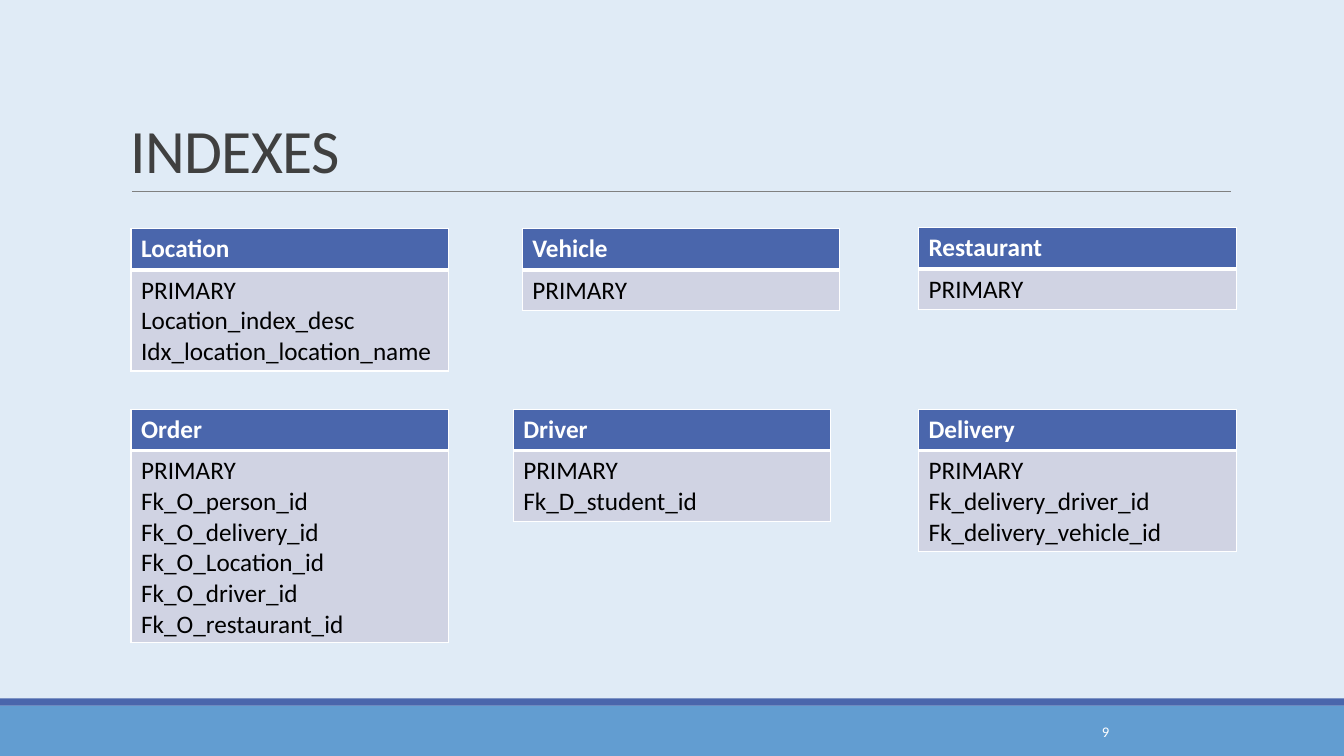
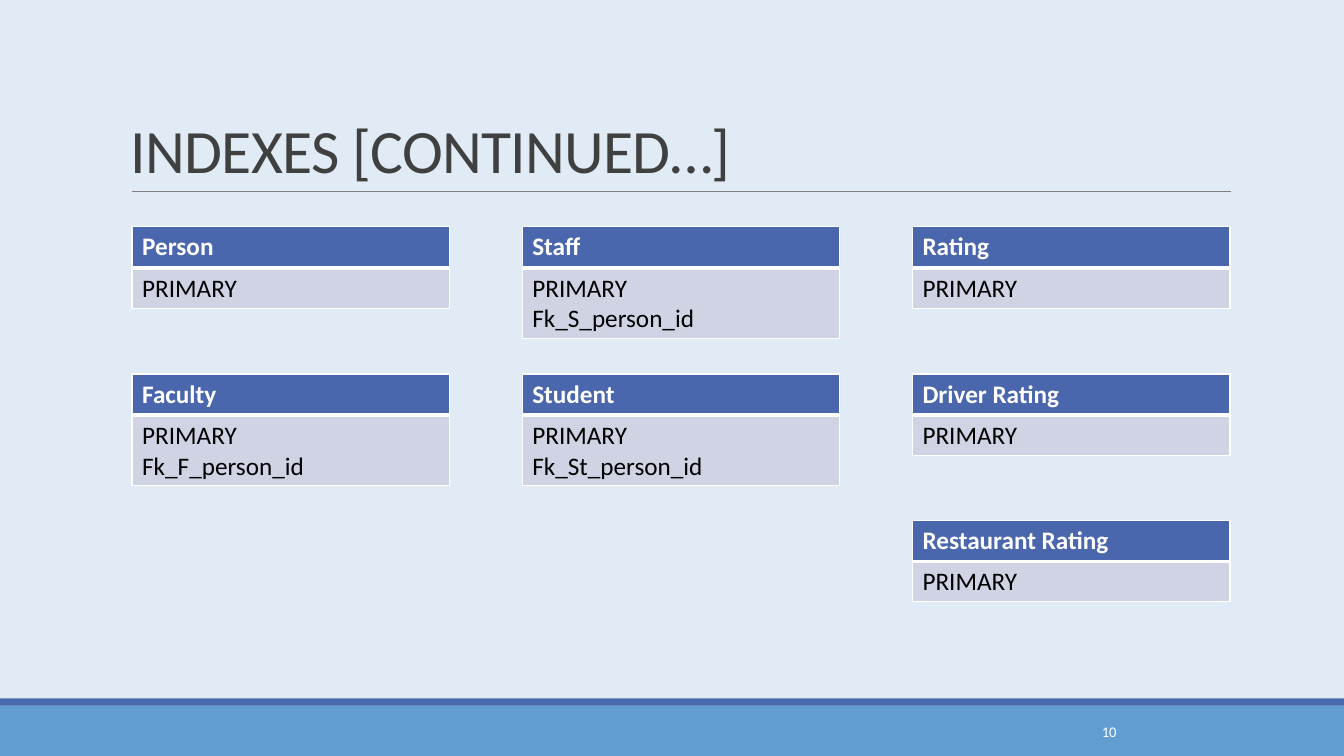
from lxml import etree
from pptx import Presentation
from pptx import util as u
from pptx.dml.color import RGBColor
from pptx.enum import shapes, text
from pptx.oxml.ns import qn

# Shared look
FONT = "Calibri"
BACK, BAND, BLUE, PALE = "E0EBF6", "629DD1", "4A66AC", "D0D3E3"
WHITE, BLACK, DARK, GRAY = "FFFFFF", "000000", "404040", "808080"
WIDE, HIGH = 13.33, 7.5

# Table size: header, then one line step per index
CARD, HEAD, PAD, STEP = 3.15, 0.41, 0.1, 0.3

# Left, top, name and indexes of each table
FIRST = [
    (1.3, 2.27, "Location", ["PRIMARY", "Location_index_desc",
                             "Idx_location_location_name"]),
    (5.18, 2.27, "Vehicle", ["PRIMARY"]),
    (9.11, 2.26, "Restaurant", ["PRIMARY"]),
    (1.3, 4.06, "Order", ["PRIMARY", "Fk_O_person_id", "Fk_O_delivery_id",
                          "Fk_O_Location_id", "Fk_O_driver_id",
                          "Fk_O_restaurant_id"]),
    (5.09, 4.06, "Driver", ["PRIMARY", "Fk_D_student_id"]),
    (9.11, 4.06, "Delivery", ["PRIMARY", "Fk_delivery_driver_id",
                              "Fk_delivery_vehicle_id"]),
]
COLS = [1.31 + 3.87 * i for i in range(3)]
ROWS = [2.25, 3.71, 5.16]
NEXT = [
    (COLS[0], ROWS[0], "Person", ["PRIMARY"]),
    (COLS[1], ROWS[0], "Staff", ["PRIMARY", "Fk_S_person_id"]),
    (COLS[2], ROWS[0], "Rating", ["PRIMARY"]),
    (COLS[0], ROWS[1], "Faculty", ["PRIMARY", "Fk_F_person_id"]),
    (COLS[1], ROWS[1], "Student", ["PRIMARY", "Fk_St_person_id"]),
    (COLS[2], ROWS[1], "Driver Rating", ["PRIMARY"]),
    (COLS[2], ROWS[2], "Restaurant Rating", ["PRIMARY"]),
]


def paint(fill, color):
    fill.solid()
    fill.fore_color.rgb = RGBColor.from_string(color)


def style(para, size, color, bold=False):
    font = para.font
    font.name, font.size, font.bold = FONT, u.Pt(size), bold
    font.color.rgb = RGBColor.from_string(color)


def add_band(slide, top, high, color):
    band = slide.shapes.add_shape(
        shapes.MSO_SHAPE.RECTANGLE, 0, u.Inches(top), u.Inches(WIDE), u.Inches(high))
    band.shadow.inherit = False
    paint(band.fill, color)
    band.line.fill.background()


def add_rule(slide, left, right, top):
    rule = slide.shapes.add_connector(
        shapes.MSO_CONNECTOR.STRAIGHT,
        u.Inches(left), u.Inches(top), u.Inches(right), u.Inches(top))
    rule.line.width = u.Pt(0.5)
    paint(rule.line.fill, GRAY)
    etree.SubElement(rule._element.spPr, qn("a:effectLst"))


def add_text(slide, box, words, size, color, anchor):
    frame = slide.shapes.add_textbox(*map(u.Inches, box)).text_frame
    frame.word_wrap = True
    frame.vertical_anchor = anchor
    para = frame.paragraphs[0]
    para.text = words
    style(para, size, color)
    return para


def add_title(slide, words):
    para = add_text(slide, (1.2, 0.31, 11, 1.59), words, 44, DARK,
                    text.MSO_ANCHOR.BOTTOM)
    para.line_spacing = 0.85
    para.runs[0].font._element.set("spc", "-50")


def add_edges(cell, top, base):
    props = cell._tc.get_or_add_tcPr()
    for side, width in (("L", 1), ("R", 1), ("T", top), ("B", base)):
        edge = etree.SubElement(props, qn("a:ln" + side), w=str(u.Pt(width)))
        fill = etree.SubElement(edge, qn("a:solidFill"))
        etree.SubElement(fill, qn("a:srgbClr"), val=WHITE)


def fill_cell(cell, lines, color, back, bold, top, base):
    cell.text = "\n".join(lines)
    for para in cell.text_frame.paragraphs:
        style(para, 18, color, bold)
    add_edges(cell, top, base)
    paint(cell.fill, back)


def add_card(slide, left, top, name, items):
    body = PAD + STEP * len(items)
    table = slide.shapes.add_table(
        2, 1, *map(u.Inches, (left, top, CARD, HEAD + body))).table
    table.horz_banding = False
    table.rows[0].height = u.Inches(HEAD)
    table.rows[1].height = u.Inches(body)
    fill_cell(table.cell(0, 0), [name], WHITE, BLUE, True, 1, 3)
    fill_cell(table.cell(1, 0), items, BLACK, PALE, False, 3, 1)


def add_slide(deck, title, page, cards):
    slide = deck.slides.add_slide(deck.slide_layouts[6])
    paint(slide.background.fill, BACK)
    # Bands, rule and title
    add_band(slide, 7, 0.5, BAND)
    add_band(slide, 6.93, 0.07, BLUE)
    add_rule(slide, 1.31, 12.21, 1.9)
    add_title(slide, title)
    # Tables and page number
    for card in cards:
        add_card(slide, *card)
    add_text(slide, (10.83, 7.06, 1.43, 0.4), page, 10.5, WHITE,
             text.MSO_ANCHOR.MIDDLE)


def main():
    deck = Presentation()
    deck.slide_width, deck.slide_height = u.Inches(WIDE), u.Inches(HIGH)
    add_slide(deck, "INDEXES", "9", FIRST)
    add_slide(deck, "INDEXES [CONTINUED…]", "10", NEXT)
    deck.save("out.pptx")


if __name__ == "__main__":
    main()
